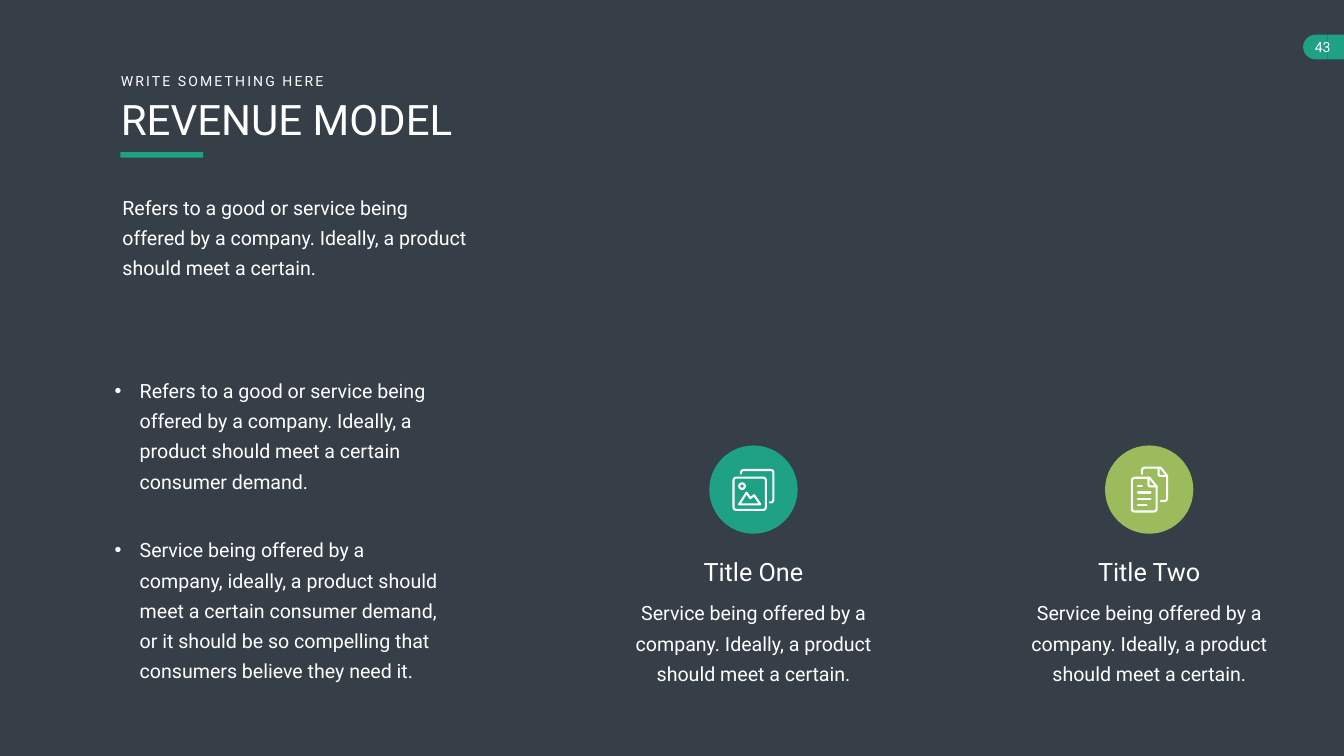
from math import cos, pi, sin

from lxml import etree
from pptx import Presentation
from pptx.dml.color import RGBColor
from pptx.enum.shapes import MSO_SHAPE
from pptx.enum.text import MSO_ANCHOR, MSO_AUTO_SIZE, PP_ALIGN
from pptx.oxml.ns import qn
from pptx.util import Cm, Pt

DELAY, RECTANGLE, OVAL = MSO_SHAPE.FLOWCHART_DELAY, MSO_SHAPE.RECTANGLE, MSO_SHAPE.OVAL
LEFT, CENTER = PP_ALIGN.LEFT, PP_ALIGN.CENTER
TOP, NO_AUTOFIT = MSO_ANCHOR.TOP, MSO_AUTO_SIZE.NONE

SLATE = RGBColor(0x36, 0x3E, 0x48)
GREEN = RGBColor(0x1E, 0xA1, 0x85)
LIME = RGBColor(0x9B, 0xBB, 0x5C)
WHITE = RGBColor(0xFF, 0xFF, 0xFF)
FONT = "Roboto"

prs = Presentation()
prs.slide_width, prs.slide_height = Cm(67.72), Cm(38.1)
slide = prs.slides.add_slide(prs.slide_layouts[1])
slide.background.fill.solid()
slide.background.fill.fore_color.rgb = SLATE


def write(box, place, paragraphs, size, align=LEFT, leading=None, inset=0.25):
    """Place a text holder and fill it with formatted paragraphs."""
    box.left, box.top, box.width, box.height = [Cm(length) for length in place]
    frame = box.text_frame
    frame.auto_size, frame.word_wrap, frame.vertical_anchor = NO_AUTOFIT, True, TOP
    frame.margin_left = frame.margin_right = Cm(inset)
    frame.margin_top = frame.margin_bottom = Cm(inset / 2)
    for index, text in enumerate(paragraphs):
        paragraph = frame.add_paragraph() if index else frame.paragraphs[0]
        paragraph.alignment = align
        paragraph.space_before = Pt(0)
        if leading:
            paragraph.line_spacing = Pt(leading)
        run = paragraph.add_run()
        run.text = text
        run.font.name, run.font.size = FONT, Pt(size)
        run.font.color.rgb = WHITE
    return frame


def rounded(corners, closed):
    """Turn (x, y, radius) corners into points, with curves at the corners."""
    points = []
    for i, (x, y, radius) in enumerate(corners):
        if not radius:
            points.append((x, y))
            continue
        before, after = corners[i - 1], corners[(i + 1) % len(corners)]
        ends = []
        for nx, ny, _ in (before, after):
            share = radius / ((nx - x) ** 2 + (ny - y) ** 2) ** 0.5
            ends.append((x + (nx - x) * share, y + (ny - y) * share))
        (ax, ay), (bx, by) = ends
        for t in (0, 0.25, 0.5, 0.75, 1):
            points.append(((1 - t) ** 2 * ax + 2 * t * (1 - t) * x + t * t * bx,
                           (1 - t) ** 2 * ay + 2 * t * (1 - t) * y + t * t * by))
    return points + points[:1] if closed else points


# Page number tab
for kind, left, width in ((DELAY, 65.66, 1.24), (RECTANGLE, 66.9, 0.82)):
    tab = slide.shapes.add_shape(kind, Cm(left), Cm(1.75), Cm(width), Cm(1.24))
    tab.shadow.inherit = False
    tab.fill.solid()
    tab.fill.fore_color.rgb = GREEN
    tab.line.fill.background()
    if kind == DELAY:
        tab.rotation = 180
number = slide.shapes.add_textbox(0, 0, 0, 0)
write(number, (65.58, 1.83, 2.13, 1.1), ["43"], 20, CENTER)

# Heading with its accent bar
kicker = slide.shapes.add_textbox(0, 0, 0, 0)
kicker_frame = write(kicker, (5.84, 3.53, 12, 1.12), ["WRITE SOMETHING HERE"], 20)
kicker_frame.paragraphs[0].runs[0].font._element.set("spc", "300")
write(slide.shapes.title, (5.84, 4.6, 18.97, 2.82), ["REVENUE MODEL"], 60)
accent = slide.shapes.add_shape(RECTANGLE, Cm(6.07), Cm(7.67), Cm(4.17), Cm(0.28))
accent.shadow.inherit = False
accent.fill.solid()
accent.fill.fore_color.rgb = GREEN
accent.line.fill.background()

# Introduction
intro = slide.shapes.add_textbox(0, 0, 0, 0)
write(intro, (5.56, 9.22, 18.97, 5.08),
      ["Refers to a good or service being offered by a company. Ideally, a product "
       "should meet a certain."], 28, leading=43, inset=0.61)

# Bulleted list
points = [
    "Refers to a good or service being offered by a company. Ideally, a product "
    "should meet a certain consumer demand.",
    "Service being offered by a company, ideally, a product should meet a certain "
    "consumer demand, or it should be so compelling that consumers believe they need it.",
]
list_frame = write(slide.placeholders[1], (5.16, 18.47, 18.03, 16.23), points, 28,
                   leading=43, inset=0.61)
for paragraph in list_frame.paragraphs:
    properties = paragraph._p.get_or_add_pPr()
    properties.set("marL", str(Cm(1.27)))
    properties.set("indent", str(-Cm(1.27)))
    etree.SubElement(properties, qn("a:buChar")).set("char", "•")
list_frame.paragraphs[1].space_before = Pt(55.5)

# Icon strokes: (corners in cm as x, y, radius; closed or open)
SUN = [(0.48 + 0.14 * cos(k * pi / 8), 0.86 + 0.14 * sin(k * pi / 8), 0) for k in range(16)]
PICTURES = [
    ([(0.05, 0.43, 0.16), (1.68, 0.43, 0.16), (1.68, 2.06, 0.16), (0.05, 2.06, 0.16)], True),
    ([(0.43, 0.23, 0), (0.43, 0.05, 0.14), (2.06, 0.05, 0.14), (2.06, 1.68, 0.14),
      (1.88, 1.68, 0)], False),
    (SUN, True),
    ([(0.33, 1.78, 0), (0.71, 1.19, 0), (0.89, 1.47, 0), (1.09, 1.32, 0),
      (1.4, 1.78, 0)], True),
]
DOCUMENTS = [
    ([(0.05, 0.56, 0.16), (0.94, 0.56, 0), (1.3, 0.99, 0), (1.3, 2.26, 0.16),
      (0.05, 2.26, 0.16)], True),
    ([(0.89, 0.56, 0), (0.89, 0.99, 0.08), (1.3, 0.99, 0)], False),
    ([(0.56, 0.36, 0), (0.56, 0.05, 0.16), (1.5, 0.05, 0), (1.83, 0.46, 0),
      (1.83, 1.73, 0.16), (1.52, 1.73, 0)], False),
    ([(1.4, 0.05, 0), (1.4, 0.46, 0.08), (1.83, 0.46, 0)], False),
]
for y, end in ((0.99, 0.56), (1.3, 0.99), (1.63, 0.99), (1.93, 0.79)):
    DOCUMENTS.append(([(0.36, y, 0), (end, y, 0)], False))

# Two columns, each with a disc, icon, title and description
columns = [
    ("Title One", GREEN, PICTURES, 38.3, 1.17, 1.19),
    ("Title Two", LIME, DOCUMENTS, 58.24, 1.3, 1.07),
]
for title, colour, strokes, middle, icon_x, icon_y in columns:
    disc_left, disc_top = middle - 2.56, 22.45
    disc = slide.shapes.add_shape(OVAL, Cm(disc_left), Cm(disc_top), Cm(4.45), Cm(4.45))
    disc.shadow.inherit = False
    disc.fill.solid()
    disc.fill.fore_color.rgb = colour
    disc.line.fill.background()

    # One outline per icon, drawn in thousandths of a centimetre
    builder = None
    for corners, closed in strokes:
        path = [(x * 1000, y * 1000) for x, y in rounded(corners, closed)]
        if builder is None:
            builder = slide.shapes.build_freeform(*path[0], scale=Cm(1) / 1000)
        else:
            builder.move_to(*path[0])
        builder.add_line_segments(path[1:], close=closed)
    icon = builder.convert_to_shape(Cm(disc_left + icon_x), Cm(disc_top + icon_y))
    icon.shadow.inherit = False
    icon.fill.background()
    icon.line.color.rgb = WHITE
    icon.line.width = Pt(3)
    icon.line._ln.set("cap", "rnd")
    etree.SubElement(icon.line._ln, qn("a:round"))

    # The disc sits left of the column's reference line by a fixed step
    centre = disc_left + 4.45 / 2
    heading = slide.shapes.add_textbox(0, 0, 0, 0)
    write(heading, (centre - 5.04, 27.89, 10.08, 1.8), [title], 36, CENTER)
    description = slide.shapes.add_textbox(0, 0, 0, 0)
    write(description, (centre - 6.88, 29.67, 13.77, 5.03),
          ["Service being offered by a company. Ideally, a product should meet a certain."],
          28, CENTER, leading=43, inset=0.61)

prs.save("out.pptx")
